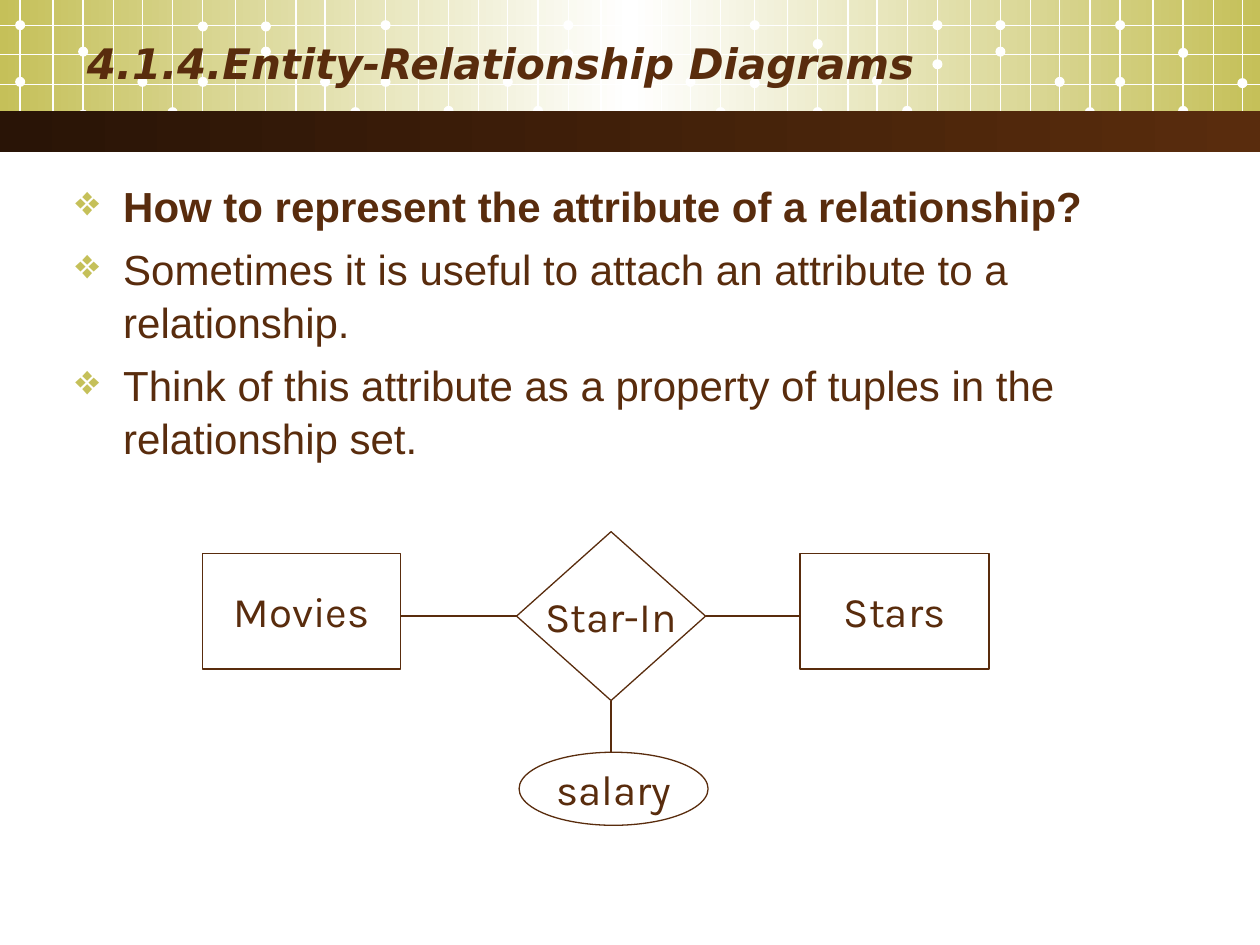
from lxml import etree
from pptx import Presentation, util as u
from pptx.dml.color import RGBColor
from pptx.enum import shapes, text
from pptx.oxml.ns import qn

PX = 9144
HUES = {"ink": "592C0D", "dark": "291406", "gold": "C5C059", "white": "FFFFFF"}
KINDS = shapes.MSO_SHAPE
STEPS = [0, 26, 50, 74, 97, 121]
PANELS = [16, 161, 306, 451, 599, 744, 889]
ROWS = [20, 43, 67, 89]
DOT_STEPS = [0, 0, 50, 50, 97, 121]
DOT_ROWS = [
    [65, 20, 41, 91, 65, 89],
    [65, 21, 41, 21, 65, 89],
    [65, 20, 41, 88, 65, 88],
    [43, 20, 42, 20, 65, 89],
    [66, 20, 35, 89, 64, 88],
    [51, 20, 41, 20, 65, 89],
    [65, 20, 42, 88, 66],
]
POINTS = [
    ("How to represent the attribute of a relationship?", True),
    ("Sometimes it is useful to attach an attribute to a relationship.", False),
    ("Think of this attribute as a property of tuples in the relationship set.", False),
]


def px(*vals):
    """Turn px lengths into EMU."""
    return [u.Emu(v * PX) for v in vals]


def hue(name):
    """Look up a colour by name."""
    return RGBColor.from_string(HUES[name])


def write(para, words, font="Arial", size=24, bold=False, slant=False,
          align=text.PP_ALIGN.LEFT):
    """Put formatted words into a paragraph."""
    para.alignment = align
    run = para.add_run()
    run.text = words
    face = run.font
    face.name, face.size = font, u.Pt(size)
    face.bold, face.italic = bold, slant
    face.color.rgb = hue("ink")


def draw(slide, kind, box, fill=None, line=None):
    """Add a plain preset shape."""
    shape = slide.shapes.add_shape(kind, *px(*box))
    shape.shadow.inherit = False
    if fill:
        shape.fill.solid()
        shape.fill.fore_color.rgb = hue(fill)
    else:
        shape.fill.background()
    if line:
        shape.line.color.rgb = hue(line)
        shape.line.width = u.Pt(0.75)
    else:
        shape.line.fill.background()
    return shape


def link(slide, start, end, color):
    """Add a thin straight line."""
    line = slide.shapes.add_connector(shapes.MSO_CONNECTOR.STRAIGHT,
                                      *px(*start, *end))
    line.line.color.rgb = hue(color)
    line.line.width = u.Pt(0.75)
    etree.SubElement(line._element.spPr, qn("a:effectLst"))
    return line


def blend(slide, box, names):
    """Add a rectangle shaded from left to right with even stops."""
    shape = draw(slide, KINDS.RECTANGLE, box)
    shape.fill.gradient()
    shape.fill.gradient_angle = 0
    stops = shape._element.spPr.find(".//" + qn("a:gsLst"))
    for old in list(stops):
        stops.remove(old)
    for i, name in enumerate(names):
        stop = etree.SubElement(stops, qn("a:gs"),
                                pos=str(100000 * i // (len(names) - 1)))
        etree.SubElement(stop, qn("a:srgbClr"), val=HUES[name])


def banner(slide, box):
    """Draw the header with its grid, dots and dark bar."""
    x, y, w, h = box
    blend(slide, (x, y, w, 102), ["gold", "white", "gold"])
    for left, tops in zip(PANELS, DOT_ROWS):
        for step in STEPS:
            if left + step < w:
                at = x + left + step
                link(slide, (at, y), (at, y + 110), "white")
        for step, top in zip(DOT_STEPS, tops):
            draw(slide, KINDS.OVAL, (x + left + step - 4, y + top - 4, 8, 8), "white")
    for row in ROWS:
        link(slide, (x, y + row), (x + w, y + row), "white")
    blend(slide, (x, y + h - 33, w, 33), ["dark", "ink"])


def head(slide, box, words):
    """Place the title above the banner."""
    title = slide.shapes.title
    title.left, title.top, title.width, title.height = px(*box)
    slide.shapes._spTree.append(title._element)
    frame = title.text_frame
    frame.auto_size = text.MSO_AUTO_SIZE.NONE
    frame.vertical_anchor = text.MSO_ANCHOR.MIDDLE
    write(frame.paragraphs[0], words, font="DejaVu Sans", bold=True, slant=True)


def points(slide, box):
    """Write the bulleted list."""
    frame = slide.shapes.add_textbox(*px(*box)).text_frame
    frame.word_wrap = True
    frame.margin_top = px(7)[0]
    for i, (words, bold) in enumerate(POINTS):
        para = frame.add_paragraph() if i else frame.paragraphs[0]
        props = para._p.get_or_add_pPr()
        props.set("marL", str(38 * PX))
        props.set("indent", str(-38 * PX))
        tint = etree.SubElement(props, qn("a:buClr"))
        etree.SubElement(tint, qn("a:srgbClr"), val=HUES["gold"])
        etree.SubElement(props, qn("a:buChar"), char="❖")
        para.line_spacing = 1.05
        if i:
            para.space_before = u.Pt(6)
        write(para, words, bold=bold)


def node(slide, kind, box, words):
    """Add an outlined shape with a centred label."""
    shape = draw(slide, kind, box, line="ink")
    frame = shape.text_frame
    frame.word_wrap = False
    frame.vertical_anchor = text.MSO_ANCHOR.MIDDLE
    write(frame.paragraphs[0], words, font="Karla", align=text.PP_ALIGN.CENTER)
    return shape


def diagram(slide, box):
    """Draw the entities, their relationship and its attribute."""
    x, y, w, h = box
    mid = y + 67
    node(slide, KINDS.RECTANGLE, (x, y + 17, 157, 92), "Movies")
    node(slide, KINDS.RECTANGLE, (x + w - 150, y + 17, 150, 92), "Stars")
    bond = node(slide, KINDS.DIAMOND, (x + 249, y, 150, 134), "Star-In")
    node(slide, KINDS.OVAL, (x + 251, y + h - 58, 150, 58), "salary")
    ends = [(1, (x + 157, mid)), (3, (x + w - 150, mid)),
            (2, (x + 324, y + h - 58))]
    for side, end in ends:
        link(slide, (x + 324, mid), end, "ink").begin_connect(bond, side)


def main():
    """Build and save the slide."""
    deck = Presentation()
    deck.slide_width, deck.slide_height = px(1000, 750)
    slide = deck.slides.add_slide(deck.slide_layouts[5])
    banner(slide, (0, 0, 1000, 121))
    head(slide, (59, 8, 914, 84), "4.1.4.Entity-Relationship Diagrams")
    points(slide, (50, 134, 900, 557))
    diagram(slide, (161, 422, 624, 233))
    deck.save("out.pptx")


if __name__ == "__main__":
    main()
